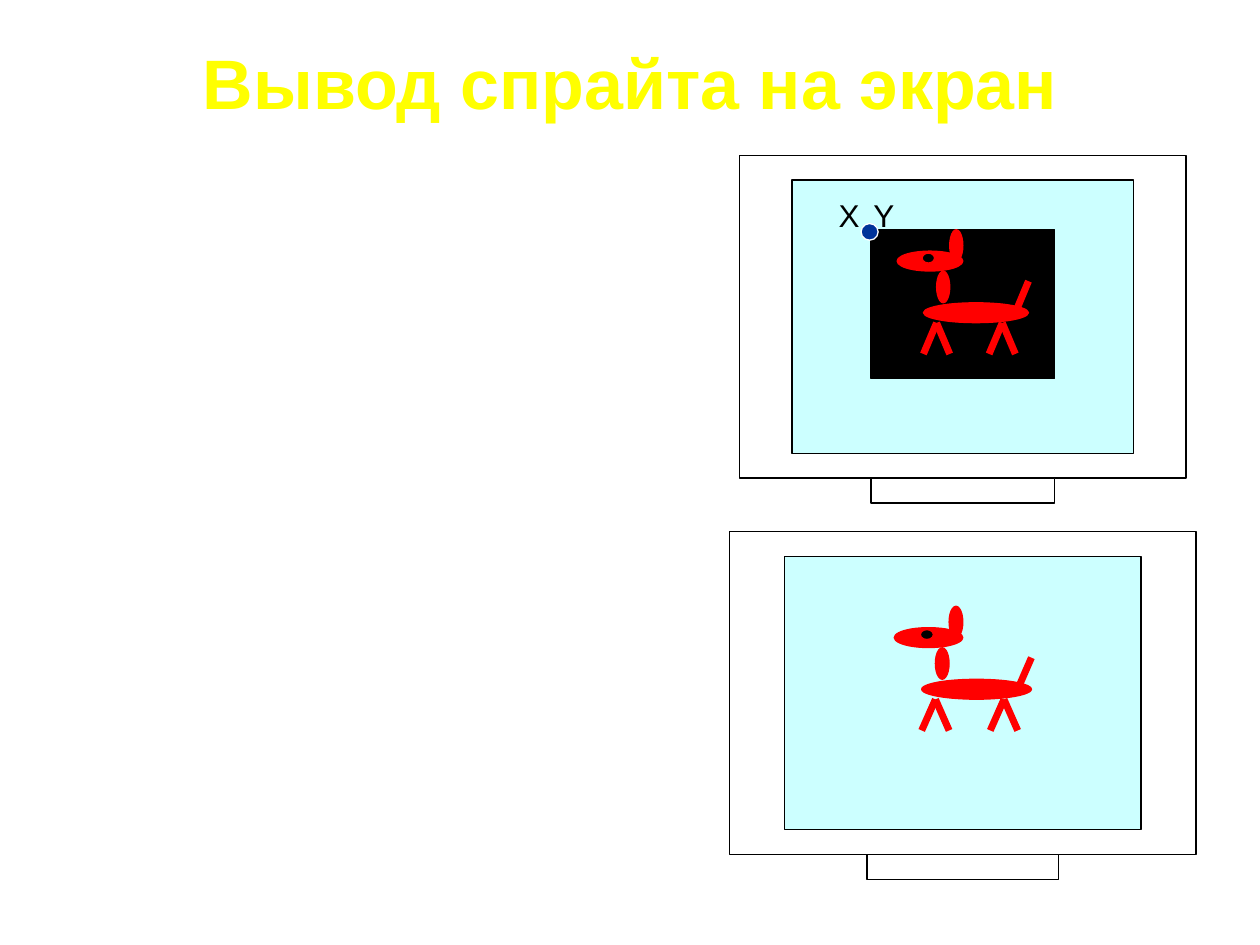
from lxml import etree
from pptx import Presentation
from pptx.dml.color import RGBColor
from pptx.enum.shapes import MSO_CONNECTOR, MSO_SHAPE
from pptx.enum.text import MSO_ANCHOR, MSO_AUTO_SIZE, PP_ALIGN
from pptx.oxml.ns import qn
from pptx.util import Cm, Pt

COLORS = {
    "title": "FFFF00",
    "white": "FFFFFF",
    "black": "000000",
    "screen": "CCFFFF",
    "dog": "FF0000",
    "marker": "003399",
}
FONT = "Arial"

# A monitor is laid out on a grid of 34 columns and 14 rows
COLUMNS, ROWS = 34, 14

# Dog parts in grid units: left, top, width, height, fill
DOG_OVALS = [
    (12, 3.86, 5, 0.8, "dog"),      # head
    (15, 4.67, 1, 1.27, "dog"),     # neck
    (14, 5.94, 8, 0.8, "dog"),      # body
    (13.9, 3.94, 0.95, 0.4, "black"),  # eye
    (16, 3, 1, 1.27, "dog"),        # ear
]
# Legs and tail: start column, start row, end column, end row
DOG_LIMBS = [
    (15, 6.75, 14, 8),
    (20, 6.75, 19, 8),
    (20, 6.75, 21, 8),
    (15, 6.75, 16, 8),
    (22, 5.07, 21, 6.34),
]


def rgb(name):
    return RGBColor.from_string(COLORS[name])


def add_title(slide, left, top, width, height):
    title = slide.shapes.title
    title.left, title.top, title.width, title.height = map(Cm, (left, top, width, height))
    frame = title.text_frame
    frame.text = "Вывод спрайта на экран"
    frame.auto_size = MSO_AUTO_SIZE.NONE
    frame.vertical_anchor = MSO_ANCHOR.MIDDLE
    paragraph = frame.paragraphs[0]
    paragraph.alignment = PP_ALIGN.CENTER
    font = paragraph.font
    font.name, font.size, font.bold = FONT, Pt(40), True
    font.color.rgb = rgb("title")


def add_monitor(slide, left, top, width, height, show_box=False):
    shapes = slide.shapes.add_group_shape().shapes

    def x(column):
        return Cm(left + width * column / COLUMNS)

    def y(row):
        return Cm(top + height * row / ROWS)

    def add_part(kind, column, row, columns, rows, fill, line):
        shape = shapes.add_shape(
            kind, x(column), y(row),
            x(column + columns) - x(column), y(row + rows) - y(row))
        shape.shadow.inherit = False
        shape.fill.solid()
        shape.fill.fore_color.rgb = rgb(fill)
        shape.line.color.rgb = rgb(line)
        shape.line.width = Pt(0.75)

    def add_limb(start_column, start_row, end_column, end_row):
        limb = shapes.add_connector(
            MSO_CONNECTOR.STRAIGHT,
            x(start_column), y(start_row), x(end_column), y(end_row))
        limb.line.color.rgb = rgb("dog")
        limb.line.width = Pt(4)
        etree.SubElement(limb._element.spPr, qn("a:effectLst"))

    def add_label(text, column, row, label_width):
        label = shapes.add_textbox(x(column), y(row), Cm(label_width), Cm(1.02))
        frame = label.text_frame
        frame.text = text
        frame.word_wrap = False
        font = frame.paragraphs[0].font
        font.name, font.size = FONT, Pt(18)
        font.color.rgb = rgb("black")

    # Case, stand and screen
    rectangle, oval = MSO_SHAPE.RECTANGLE, MSO_SHAPE.OVAL
    add_part(rectangle, 0, 0, 34, 13, "white", "black")
    add_part(rectangle, 10, 13, 14, 1, "white", "black")
    add_part(rectangle, 4, 1, 26, 11, "screen", "black")
    if show_box:
        add_part(rectangle, 10, 3, 14, 6, "black", "black")

    # Dog
    for *box, fill in DOG_OVALS:
        add_part(oval, *box, fill, "dog")
    for limb in DOG_LIMBS:
        add_limb(*limb)

    # Coordinates of the sprite corner
    if show_box:
        add_label("Х", 6.6, 1.4, 1.04)
        add_label("Y", 9.25, 1.4, 0.69)
        add_part(oval, 9.25, 2.75, 1.3, 0.67, "marker", "white")


def main():
    presentation = Presentation()
    presentation.slide_width, presentation.slide_height = Cm(25.4), Cm(19.05)
    slide = presentation.slides.add_slide(presentation.slide_layouts[5])
    add_title(slide, 1.27, 0.76, 22.86, 1.75)
    add_monitor(slide, 14.91, 3.13, 9, 7.01, show_box=True)
    add_monitor(slide, 14.71, 10.72, 9.4, 7.01)
    presentation.save("out.pptx")


if __name__ == "__main__":
    main()
